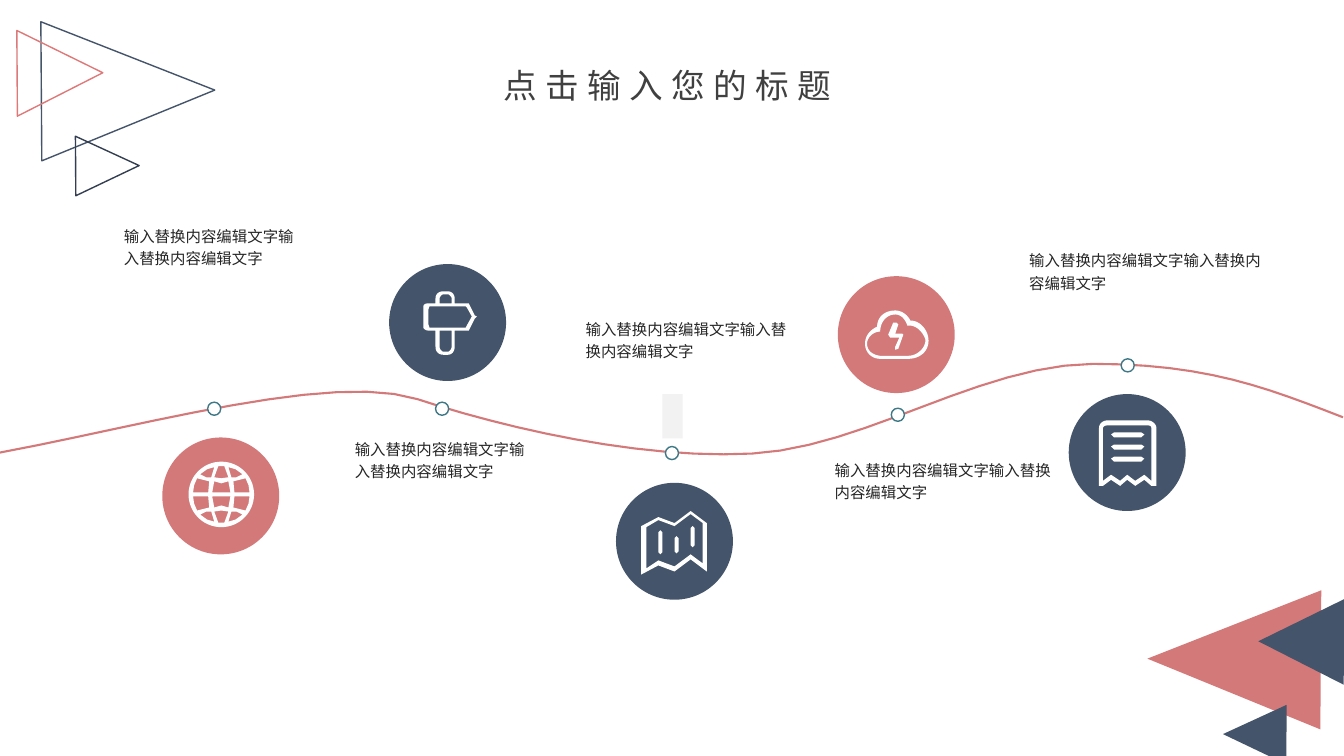
import math
from pptx import Presentation
from pptx import util as u
from pptx.dml.color import RGBColor
from pptx.enum import shapes, text
from pptx.oxml import ns
from lxml import etree

PX = 9144
FONT = "Noto Sans CJK SC"
WHITE = RGBColor(0xFF, 0xFF, 0xFF)
ROSE = RGBColor(0xD3, 0x79, 0x79)
BRIGHT_ROSE = RGBColor(0xDD, 0x79, 0x79)
NAVY = RGBColor(0x44, 0x54, 0x6A)
DARK_NAVY = RGBColor(0x33, 0x3F, 0x50)
TEAL = RGBColor(0x3E, 0x78, 0x86)
PALE_GREY = RGBColor(0xF2, 0xF2, 0xF2)
TITLE_GREY = RGBColor(0x40, 0x40, 0x40)
TEXT_GREY = RGBColor(0x26, 0x26, 0x26)
BEZIER_STEPS = 12


def paint(shape, fill=None, line=None, width=1):
    shape.shadow.inherit = False
    for part, color in ((shape.fill, fill), (shape.line.fill, line)):
        if color is None:
            part.background()
        else:
            part.solid()
            part.fore_color.rgb = color
    if line is not None:
        shape.line.width = u.Pt(width)


def trace(parent, contours, close=True):
    builder = None
    for contour in contours:
        points = [contour[0]]
        for step in contour[1:]:
            if len(step) == 2:
                points.append(step)
                continue
            controls = [points[-1], step[:2], step[2:4], step[4:]]
            for i in range(1, BEZIER_STEPS + 1):
                t = i / BEZIER_STEPS
                weights = [math.comb(3, k) * t**k * (1 - t) ** (3 - k) for k in range(4)]
                points.append(tuple(sum(w * c[axis] for w, c in zip(weights, controls)) for axis in (0, 1)))
        points = [(round(x * PX), round(y * PX)) for x, y in points]
        if builder is None:
            builder = parent.build_freeform(*points[0], scale=1.0)
        else:
            builder.move_to(*points[0])
        builder.add_line_segments(points[1:], close=close)
    return builder.convert_to_shape()


presentation = Presentation()
presentation.slide_width = 1333 * PX
presentation.slide_height = 750 * PX
slide = presentation.slides.add_slide(presentation.slide_layouts[5])

marker = slide.shapes.add_shape(shapes.MSO_SHAPE.RECTANGLE, 657 * PX, 391 * PX, 20 * PX, 44 * PX)
paint(marker, PALE_GREY)

wave = [(0, 449), (145, 422, 329, 369, 414, 396), (499, 424, 634, 456, 746, 450),
        (858, 444, 971, 362, 1084, 361), (1197, 361, 1257, 385, 1332, 414)]
paint(trace(slide.shapes, [wave], close=False), line=ROSE, width=1.5)

for left, top in ((206, 399), (432, 399), (660, 443), (884, 405), (1112, 356)):
    dot = slide.shapes.add_shape(shapes.MSO_SHAPE.OVAL, left * PX, top * PX, 13 * PX, 13 * PX)
    paint(dot, WHITE, TEAL)

GLOBE_X, GLOBE_Y, GLOBE_RADIUS = 219.5, 490.5, 32.5
globe = [[(GLOBE_X + GLOBE_RADIUS * math.cos(math.radians(a)),
           GLOBE_Y + GLOBE_RADIUS * math.sin(math.radians(a))) for a in range(0, 360, 6)]]
globe_sides = [[(24, -16), (27, -9), (28, -2), (13, -2), (12, -13)],
               [(21, -20), (15, -17), (10, -17), (7, -27), (14, -25)]]
globe_middles = [[(-9, -2), (-7, -13), (0, -11), (7, -13), (9, -2)],
                 [(-3, -28), (3, -28), (7, -17), (0, -16), (-7, -17)]]
for cells, x_signs in ((globe_sides, (1, -1)), (globe_middles, (1,))):
    globe += [[(GLOBE_X + sx * x, GLOBE_Y + sy * y) for x, y in cell]
              for cell in cells for sx in x_signs for sy in (1, -1)]

cloud = [
    [(895, 331), (888, 331), (891, 322), (889, 320), (886, 320), (881, 332), (883, 335),
     (892, 335), (888, 344), (888, 347), (891, 346), (896, 332)],
    [(903, 318), (900, 312, 894, 308, 888, 308), (877, 308, 870, 315, 870, 324),
     (862, 328, 858, 334, 858, 341), (858, 349, 864, 356, 873, 356), (901, 356),
     (912, 356, 921, 349, 921, 338), (921, 328, 913, 318, 903, 318)],
    [(901, 353), (873, 353), (873, 353, 860, 352, 860, 341), (860, 335, 866, 329, 873, 329),
     (873, 320, 879, 312, 888, 312), (894, 312, 898, 317, 900, 323),
     (910, 322, 916, 331, 918, 337), (918, 346, 909, 353, 901, 353)],
]

ZIGZAG_X = (1094, 1102, 1111, 1118, 1126, 1135, 1142)
receipt = [
    [(1138, 417), (1099, 417), (1094, 417, 1090, 420, 1090, 425), (1090, 482)]
    + [(x, 476 if i % 2 else 482) for i, x in enumerate(ZIGZAG_X)]
    + [(1147, 482), (1147, 425), (1147, 420, 1142, 417, 1138, 417)],
    [(1138, 422), (1099, 422), (1096, 422, 1094, 423, 1094, 425)]
    + [(x, 471 if i % 2 else 477) for i, x in enumerate(ZIGZAG_X)]
    + [(1142, 425), (1142, 423, 1141, 422, 1138, 422)],
]
receipt += [[(1132, y), (1105, y), (1102, y + 2), (1105, y + 5), (1132, y + 5), (1135, y + 2)]
            for y in (429, 441, 453)]

folded_map = [
    [(685, 507), (669, 519), (653, 513), (636, 522), (636, 570), (653, 561), (669, 567),
     (685, 555), (701, 567), (701, 519)],
    [(697, 559), (685, 550), (669, 562), (653, 556), (641, 564), (641, 523), (653, 516),
     (669, 522), (685, 510), (697, 519)],
]
for left, top, right, bottom in ((653, 526, 657, 550), (669, 532, 673, 549), (685, 522, 689, 543)):
    middle = (left + right) / 2
    folded_map.append([(left, top + 2), (middle, top), (right, top + 2),
                       (right, bottom - 2), (middle, bottom), (left, bottom - 2)])

signpost = [
    [(471, 313), (465, 301), (451, 301), (451, 296), (451, 292, 448, 289, 444, 289), (440, 289),
     (435, 289, 432, 292, 432, 296), (432, 301), (425, 301), (422, 301, 420, 302, 420, 304),
     (420, 325), (420, 326, 422, 328, 425, 328), (432, 328), (432, 344),
     (432, 349, 435, 352, 440, 352), (444, 352), (448, 352, 451, 349, 451, 344), (451, 328),
     (465, 328), (471, 316), (473, 314)],
    [(436, 296), (436, 295, 438, 292, 440, 292), (444, 292), (446, 292, 448, 295, 448, 296),
     (448, 301), (436, 301)],
    [(448, 344), (448, 346, 446, 349, 444, 349), (440, 349), (438, 349, 436, 346, 436, 344),
     (436, 328), (448, 328)],
    [(463, 323), (462, 325), (426, 325), (425, 322), (425, 307), (426, 304), (462, 304),
     (463, 305), (468, 314)],
]

for left, top, color, icon in ((161, 434, ROSE, globe), (831, 274, ROSE, cloud),
                               (1060, 391, NAVY, receipt), (611, 479, NAVY, folded_map),
                               (386, 262, NAVY, signpost)):
    badge = slide.shapes.add_group_shape()
    disc = badge.shapes.add_shape(shapes.MSO_SHAPE.OVAL, left * PX, top * PX, 116 * PX, 116 * PX)
    paint(disc, color)
    paint(trace(badge.shapes, icon), WHITE)

corner_triangles = {
    270.4: [(1155, 568, 138, 172, ROSE, None), (1215, 697, 59, 63, NAVY, None),
            (1248, 594, 85, 85, NAVY, None)],
    89.6: [(58, 4, 138, 172, None, NAVY), (77, 133, 59, 63, None, DARK_NAVY),
           (17, 30, 85, 85, None, BRIGHT_ROSE)],
}
for rotation, triangles in corner_triangles.items():
    corner = slide.shapes.add_group_shape()
    for *box, fill, line in triangles:
        triangle = corner.shapes.add_shape(shapes.MSO_SHAPE.ISOSCELES_TRIANGLE, *(v * PX for v in box))
        triangle.rotation = rotation
        paint(triangle, fill, line)

title = slide.shapes.title
title.left, title.top, title.width, title.height = (v * PX for v in (457, 64, 409, 40))
title_frame = dict(margin_left=0, margin_right=0, margin_top=0, margin_bottom=0,
                   vertical_anchor=text.MSO_ANCHOR.MIDDLE)
title_paragraph = dict(alignment=text.PP_ALIGN.CENTER)
labels = [(title, "点击输入您的标题", 24, TITLE_GREY, title_frame, title_paragraph)]
for box in ((113, 217, 199, 52), (342, 428, 199, 55), (571, 309, 224, 52),
            (818, 449, 244, 55), (1011, 241, 264, 52)):
    caption = slide.shapes.add_textbox(*(v * PX for v in box))
    labels.append((caption, "输入替换内容编辑文字" * 2, 11, TEXT_GREY, {}, dict(line_spacing=1.2)))

for shape, wording, size, color, frame_format, paragraph_format in labels:
    frame = shape.text_frame
    paragraph = frame.paragraphs[0]
    run = paragraph.add_run()
    run.text = wording
    run.font.color.rgb = color
    frame_format = dict(frame_format, word_wrap=True, auto_size=text.MSO_AUTO_SIZE.SHAPE_TO_FIT_TEXT)
    font_format = dict(name=FONT, size=u.Pt(size))
    for target, values in ((frame, frame_format), (paragraph, paragraph_format), (run.font, font_format)):
        for name, value in values.items():
            setattr(target, name, value)
    properties = run._r.get_or_add_rPr()
    etree.SubElement(properties, ns.qn("a:ea")).set("typeface", FONT)
    if shape is title:
        properties.set("spc", "600")

presentation.save("out.pptx")
